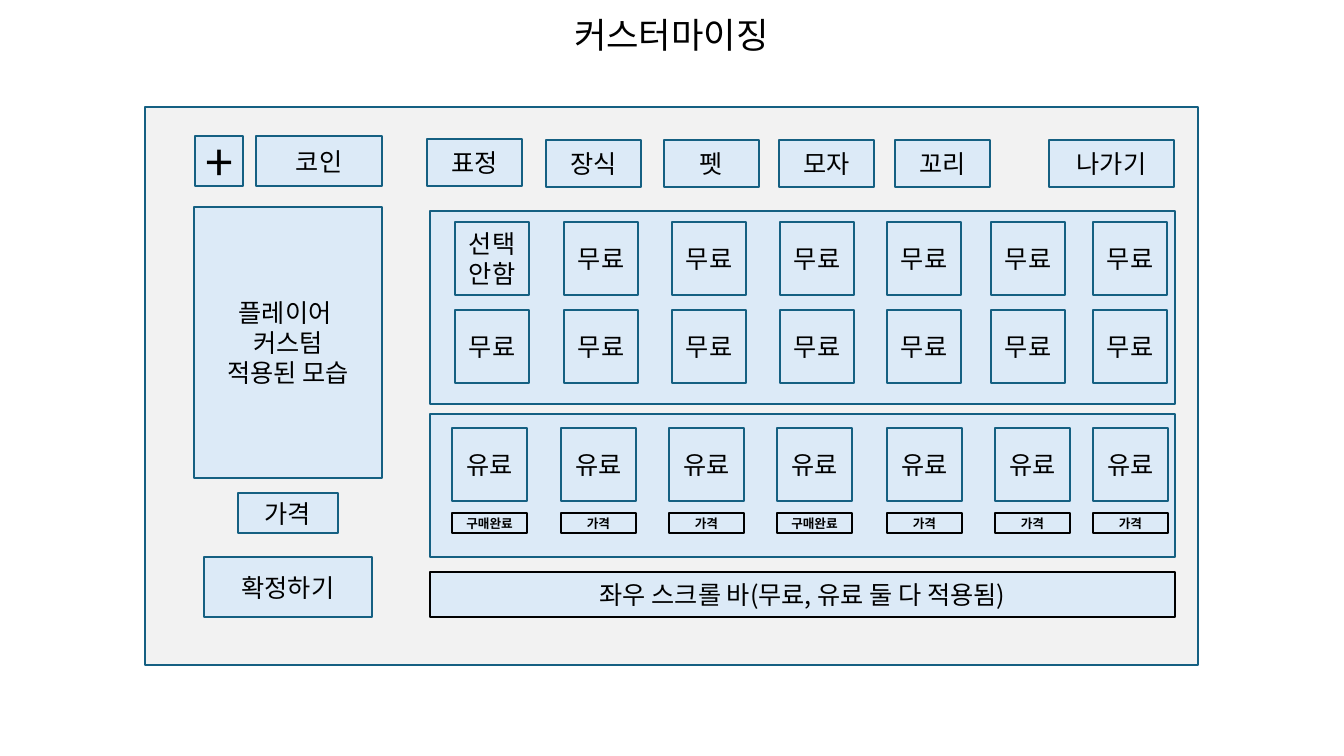
import pptx
import pptx.util
import pptx.dml.color
import pptx.enum.shapes
import pptx.enum.text
import pptx.oxml

EMU_PER_PX = 914400 / 100.8
FONT = "Noto Sans CJK KR"
COLOURS = {"frame": "F2F2F2", "box": "DCEAF7", "edge": "156082", "ink": "000000"}

TITLE = (["커스터마이징"], 145, 15, 1053, 44)
FRAME = (145, 107, 1053, 558)
PANELS = [(430, 211, 745, 193), (430, 414, 745, 143)]

# lines of text, left, top, width, height, text size
CONTROLS = [
    (["+"], 195, 136, 48, 50, 36),
    (["코인"], 256, 136, 126, 50, 18),
    (["플레이어 ", "커스텀", "적용된 모습"], 194, 207, 188, 271, 18),
    (["가격"], 238, 493, 100, 40, 18),
    (["확정하기"], 204, 557, 168, 60, 18),
    (["나가기"], 1049, 140, 125, 47, 18),
]
SCROLL_BAR = (["좌우 스크롤 바(무료, 유료 둘 다 적용됨)"], 430, 572, 745, 45)

TABS = [("표정", 427, 139), ("장식", 546, 140), ("펫", 664, 140),
        ("모자", 779, 140), ("꼬리", 895, 140)]
TAB_SIZE = (95, 47)

FREE_COLUMNS = [455, 564, 672, 780, 887, 991, 1093]
FREE_ROWS = [(222, ["선택안함"] + ["무료"] * 6), (310, ["무료"] * 7)]
FREE_SIZE = (74, 73)

PAID_ITEMS = [(452, "구매완료"), (561, "가격"), (669, "가격"), (777, "구매완료"),
              (887, "가격"), (995, "가격"), (1093, "가격")]
PAID_TOP, PAID_SIZE = 428, (75, 73)
TAG_TOP, TAG_SIZE = 513, (75, 20)


def px(*lengths):
    return [pptx.util.Emu(round(n * EMU_PER_PX)) for n in lengths]


def colour(name):
    return pptx.dml.color.RGBColor.from_string(COLOURS[name])


def write(frame, lines, size, bold=False, spacing=None):
    frame.word_wrap = True
    frame.vertical_anchor = pptx.enum.text.MSO_ANCHOR.MIDDLE
    for index, line in enumerate(lines):
        paragraph = frame.add_paragraph() if index else frame.paragraphs[0]
        paragraph.alignment = pptx.enum.text.PP_ALIGN.CENTER
        if spacing:
            paragraph.line_spacing = spacing
        run = paragraph.add_run()
        run.text = line
        run.font.size = pptx.util.Pt(size)
        run.font.bold = bold
        run.font.name = FONT
        run.font.color.rgb = colour("ink")
        east_asian = pptx.oxml.parse_xml(
            '<a:ea xmlns:a="http://schemas.openxmlformats.org/drawingml/2006/main" '
            f'typeface="{FONT}"/>')
        run.font._element.find(
            "{http://schemas.openxmlformats.org/drawingml/2006/main}latin"
        ).addnext(east_asian)


def add_box(slide, place, lines=(), size=18, fill="box", edge="edge", bold=False):
    box = slide.shapes.add_shape(pptx.enum.shapes.MSO_SHAPE.RECTANGLE, *px(*place))
    box.shadow.inherit = False
    box.fill.solid()
    box.fill.fore_color.rgb = colour(fill)
    box.line.color.rgb = colour(edge)
    box.line.width = pptx.util.Pt(1.5)
    if lines:
        write(box.text_frame, lines, size, bold)


def main():
    deck = pptx.Presentation()
    deck.slide_width, deck.slide_height = px(1344, 756)
    slide = deck.slides.add_slide(deck.slide_layouts[6])

    heading, *heading_place = TITLE
    title = slide.shapes.add_textbox(*px(*heading_place))
    write(title.text_frame, heading, 25.2, spacing=0.9)

    add_box(slide, FRAME, fill="frame")
    for panel in PANELS:
        add_box(slide, panel)
    for lines, *place, size in CONTROLS:
        add_box(slide, place, lines, size)
    for label, left, top in TABS:
        add_box(slide, (left, top, *TAB_SIZE), [label])

    for top, labels in FREE_ROWS:
        for left, label in zip(FREE_COLUMNS, labels):
            add_box(slide, (left, top, *FREE_SIZE), [label])
    for left, tag in PAID_ITEMS:
        add_box(slide, (left, PAID_TOP, *PAID_SIZE), ["유료"])
        add_box(slide, (left, TAG_TOP, *TAG_SIZE), [tag], 9, edge="ink", bold=True)

    scroll_label, *scroll_place = SCROLL_BAR
    add_box(slide, scroll_place, scroll_label, edge="ink")
    deck.save("out.pptx")


if __name__ == "__main__":
    main()
